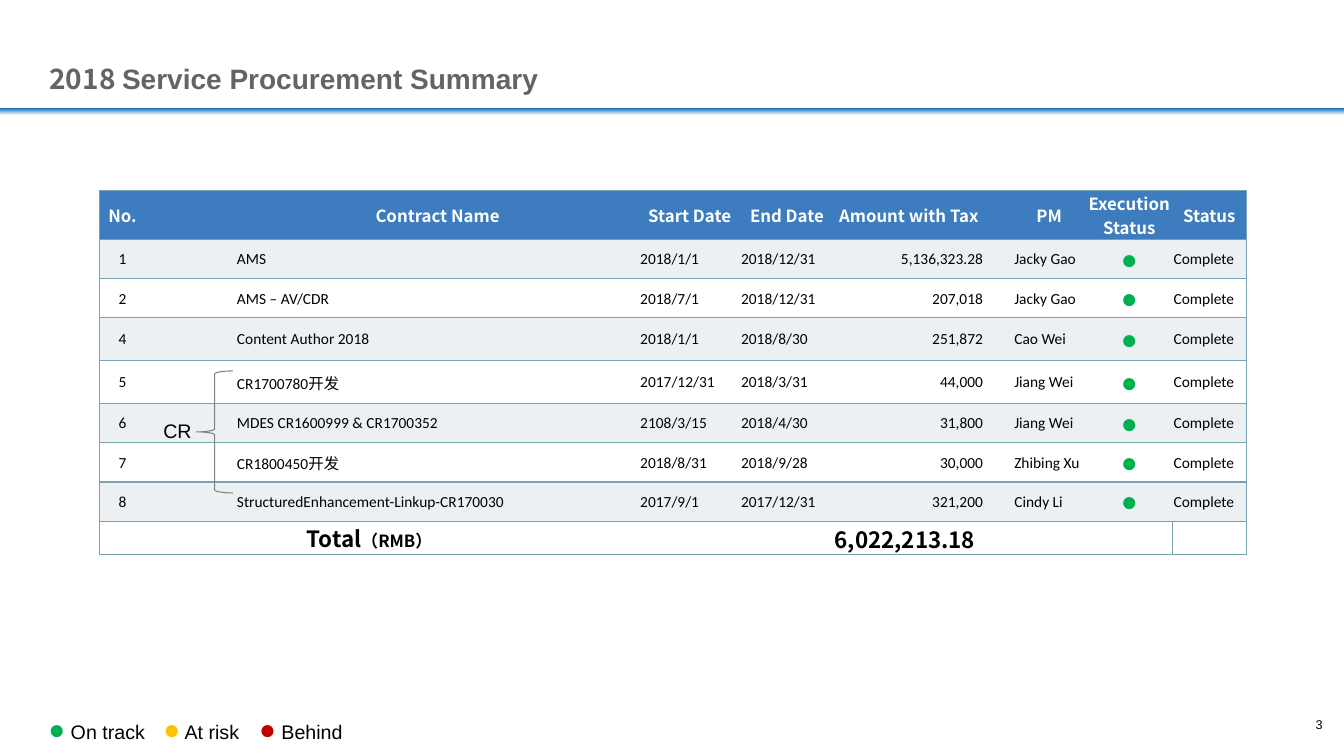
from dataclasses import dataclass

from lxml import etree
from pptx import Presentation
from pptx.dml import color
from pptx.enum import shapes, text
from pptx.oxml import ns
from pptx.util import Inches, Pt

TITLE = ("2018 ", "Service Procurement Summary")
HEADERS = ["No.", "", "Contract Name", "Start Date", "End Date", "Amount with Tax",
           "PM", "Execution\nStatus", "Status"]
CONTRACTS = [
    ("1", "AMS", "2018/1/1", "2018/12/31", "5,136,323.28", "Jacky Gao"),
    ("2", "AMS – AV/CDR", "2018/7/1", "2018/12/31", "207,018", "Jacky Gao"),
    ("4", "Content Author 2018", "2018/1/1", "2018/8/30", "251,872", "Cao Wei"),
    ("5", "CR1700780开发", "2017/12/31", "2018/3/31", "44,000", "Jiang Wei"),
    ("6", "MDES CR1600999 & CR1700352", "2108/3/15", "2018/4/30", "31,800", "Jiang Wei"),
    ("7", "CR1800450开发", "2018/8/31", "2018/9/28", "30,000", "Zhibing Xu"),
    ("8", "StructuredEnhancement-Linkup-CR170030", "2017/9/1", "2017/12/31", "321,200",
     "Cindy Li"),
]
TOTAL_LABEL, TOTAL_UNIT, TOTAL = "Total", "（RMB）", "6,022,213.18"
DOT, DONE = "●", "Complete"
COLUMN_WIDTHS = [0.45, 0.9, 4, 1, 0.93, 1.49, 1.01, 0.86, 0.73]
ROW_HEIGHTS = [0.47, 0.39, 0.39, 0.42, 0.43, 0.39, 0.39, 0.39, 0.31]
NUMBER, AMOUNT, MANAGER, EXECUTION, STATUS = 0, 5, 6, 7, 8
LEGEND_TABS = (1.14, 2.09)

LEFT, CENTER, RIGHT = text.PP_ALIGN.LEFT, text.PP_ALIGN.CENTER, text.PP_ALIGN.RIGHT
MIDDLE, BOTTOM = text.MSO_ANCHOR.MIDDLE, text.MSO_ANCHOR.BOTTOM


@dataclass(frozen=True)
class Theme:
    sans: str = "Arial"
    body: str = "Calibri"
    cjk: str = "Noto Sans CJK SC"
    black: str = "000000"
    white: str = "FFFFFF"
    title: str = "646464"
    bar_top: str = "006AB6"
    bar_bottom: str = "F4F6F9"
    header: str = "3C7CBF"
    band: str = "ECF0F2"
    border: str = "79A2B3"
    brace: str = "808080"
    on_track: str = "00B050"
    at_risk: str = "FFC000"
    behind: str = "C00000"
    title_size: int = 20
    dot_size: int = 20
    total_size: int = 16
    label_size: int = 14
    header_size: int = 12
    body_size: int = 11
    page_size: int = 9


THEME = Theme()
LEGEND = [(" On track", THEME.on_track), (" At risk", THEME.at_risk),
          (" Behind", THEME.behind)]


def rgb(value):
    return color.RGBColor.from_string(value)


def add_span(para, content, size=THEME.label_size, font=THEME.sans, ink=THEME.black,
             bold=False):
    span = para.add_run()
    span.text = content
    span.font.size, span.font.bold, span.font.name = Pt(size), bold, font
    span.font.color.rgb = rgb(ink)
    east_asian = etree.SubElement(span.font._element, ns.qn("a:ea"))
    east_asian.set("typeface", THEME.cjk)


def set_margins(target, left, top, right, bottom):
    target.margin_left, target.margin_top = Inches(left), Inches(top)
    target.margin_right, target.margin_bottom = Inches(right), Inches(bottom)


def add_label(page, left, top, width, height, margin=0, align=LEFT, wrap=True):
    """Add an empty text box and return its paragraph."""
    box = page.shapes.add_textbox(Inches(left), Inches(top), Inches(width), Inches(height))
    frame = box.text_frame
    frame.word_wrap = wrap
    set_margins(frame, *[margin] * 4)
    para = frame.paragraphs[0]
    para.alignment = align
    return para


def style_cell(cell, fill, left=False, right=False):
    """Fill the cell and rule its top and bottom, and its sides on request."""
    cell.fill.solid()
    cell.fill.fore_color.rgb = rgb(fill)
    properties = cell._tc.get_or_add_tcPr()
    sides = (("L", left), ("R", right), ("T", True), ("B", True))
    for index, (side, shown) in enumerate(sides):
        line = etree.Element(ns.qn(f"a:ln{side}"), w=str(Pt(1)))
        paint = etree.SubElement(line, ns.qn("a:solidFill" if shown else "a:noFill"))
        if shown:
            etree.SubElement(paint, ns.qn("a:srgbClr"), val=THEME.border)
        properties.insert(index, line)


def write_cell(cell, content, align=LEFT, anchor=MIDDLE, margins=(0.01, 0.01, 0.01, 0),
               **style):
    cell.vertical_anchor = anchor
    set_margins(cell, *margins)
    for index, line in enumerate(content.split("\n")):
        frame = cell.text_frame
        para = frame.add_paragraph() if index else frame.paragraphs[0]
        para.alignment = align
        if line:
            add_span(para, line, **style)
        else:
            etree.SubElement(para._p, ns.qn("a:endParaRPr"), sz=str(THEME.body_size * 100))


def add_title(page):
    title = page.shapes.title
    title.left, title.top = Inches(0.42), Inches(0.49)
    title.width, title.height = Inches(12.07), Inches(0.58)
    frame = title.text_frame
    frame.vertical_anchor = MIDDLE
    set_margins(frame, 0.07, 0.05, 0, 0.05)
    para = frame.paragraphs[0]
    para.alignment = LEFT
    for content, font in zip(TITLE, (THEME.cjk, THEME.sans)):
        add_span(para, content, size=THEME.title_size, font=font, ink=THEME.title, bold=True)


def add_title_bar(page):
    bar = page.shapes.add_shape(shapes.MSO_SHAPE.RECTANGLE, 0, Inches(1.07),
                                Inches(13.33), Inches(0.07))
    bar.shadow.inherit = False
    bar.line.fill.background()
    bar.fill.gradient()
    bar.fill.gradient_angle = 270
    for stop, position, tint in zip(bar.fill.gradient_stops, (0, 1),
                                    (THEME.bar_top, THEME.bar_bottom)):
        stop.position = position
        stop.color.rgb = rgb(tint)


def add_contract_table(page):
    frame = page.shapes.add_table(len(ROW_HEIGHTS), len(COLUMN_WIDTHS), Inches(0.99),
                                  Inches(1.89), Inches(sum(COLUMN_WIDTHS)),
                                  Inches(sum(ROW_HEIGHTS)))
    table = frame.table
    table.first_row = table.horz_banding = False
    for column, width in zip(table.columns, COLUMN_WIDTHS):
        column.width = Inches(width)
    for row, height in zip(table.rows, ROW_HEIGHTS):
        row.height = Inches(height)

    last = len(ROW_HEIGHTS) - 1
    fills = [THEME.header] + [THEME.band, THEME.white] * (last // 2)
    fills[last:] = [THEME.white]
    for row, fill in enumerate(fills):
        for column in range(len(COLUMN_WIDTHS)):
            divider = row == last
            style_cell(table.cell(row, column), fill,
                       left=column == NUMBER or (divider and column == STATUS),
                       right=column == STATUS or (divider and column == EXECUTION))

    for column, heading in enumerate(HEADERS):
        indent = 0.3 if column == MANAGER else 0.02
        write_cell(table.cell(0, column), heading, align=CENTER, margins=(indent, 0, 0.02, 0),
                   size=THEME.header_size, font=THEME.cjk, ink=THEME.white, bold=True)

    aligns = {NUMBER: CENTER, AMOUNT: RIGHT, EXECUTION: CENTER}
    for row, (number, *details) in enumerate(CONTRACTS, 1):
        for column, content in enumerate([number, "", *details, DOT, DONE]):
            style = dict(size=THEME.body_size, font=THEME.body)
            if column == EXECUTION:
                style = dict(size=THEME.dot_size, ink=THEME.on_track)
            indent = 0.3 if column == MANAGER else 0.01
            write_cell(table.cell(row, column), content, align=aligns.get(column, LEFT),
                       margins=(indent, 0.01, 0.01, 0), **style)

    for column in range(len(COLUMN_WIDTHS)):
        if column not in (NUMBER, AMOUNT):
            write_cell(table.cell(last, column), "")
    label, amount = table.cell(last, NUMBER), table.cell(last, AMOUNT)
    label.merge(table.cell(last, 2))
    amount.merge(table.cell(last, MANAGER))
    bold = dict(font=THEME.cjk, bold=True)
    write_cell(label, TOTAL_LABEL, align=CENTER, margins=(0.02, 0, 0.02, 0),
               size=THEME.total_size, **bold)
    add_span(label.text_frame.paragraphs[0], TOTAL_UNIT, size=THEME.header_size, **bold)
    write_cell(amount, TOTAL, anchor=BOTTOM, size=THEME.total_size, **bold)


def add_change_request_brace(page):
    brace = page.shapes.add_shape(shapes.MSO_SHAPE.LEFT_BRACE, Inches(1.95), Inches(3.68),
                                  Inches(0.36), Inches(1.21))
    brace.shadow.inherit = False
    brace.fill.background()
    brace.line.color.rgb = rgb(THEME.brace)
    brace.line.width = Pt(0.75)
    add_span(add_label(page, 1.49, 4.06, 0.54, 0.43, margin=0.1, align=CENTER), "CR")


def add_legend(page):
    para = add_label(page, 0.48, 7.06, 5.33, 0.3)
    tabs = etree.SubElement(para._p.get_or_add_pPr(), ns.qn("a:tabLst"))
    for position in LEGEND_TABS:
        etree.SubElement(tabs, ns.qn("a:tab"), pos=str(Inches(position)), algn="l")
    for index, (label, tint) in enumerate(LEGEND):
        add_span(para, ("\t" if index else "") + DOT, size=THEME.dot_size, ink=tint)
        add_span(para, label)


def main():
    deck = Presentation()
    deck.slide_width, deck.slide_height = Inches(13.33), Inches(7.5)
    page = deck.slides.add_slide(deck.slide_layouts[5])
    add_title_bar(page)
    add_title(page)
    add_contract_table(page)
    add_legend(page)
    add_change_request_brace(page)
    add_span(add_label(page, 12.86, 7.11, 0.26, 0.15, align=RIGHT, wrap=False), "3",
             size=THEME.page_size)
    deck.save("out.pptx")


if __name__ == "__main__":
    main()
